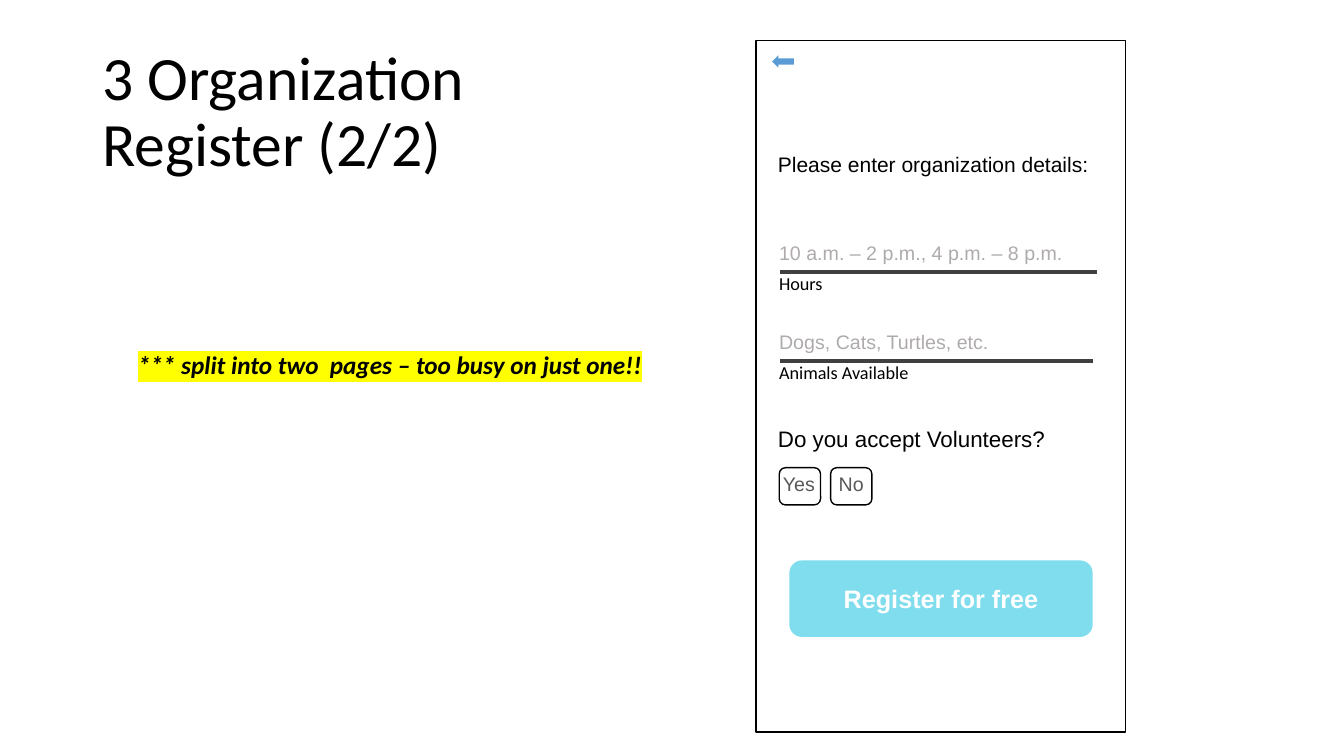
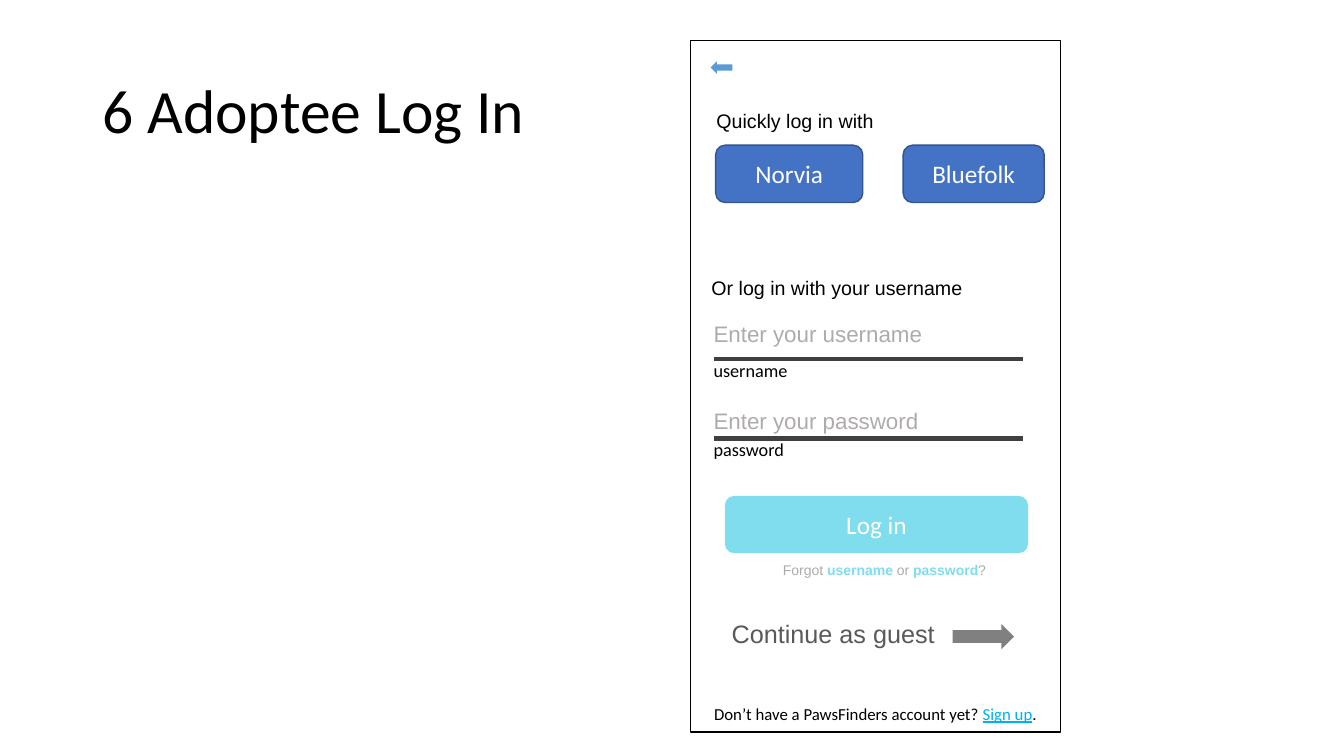
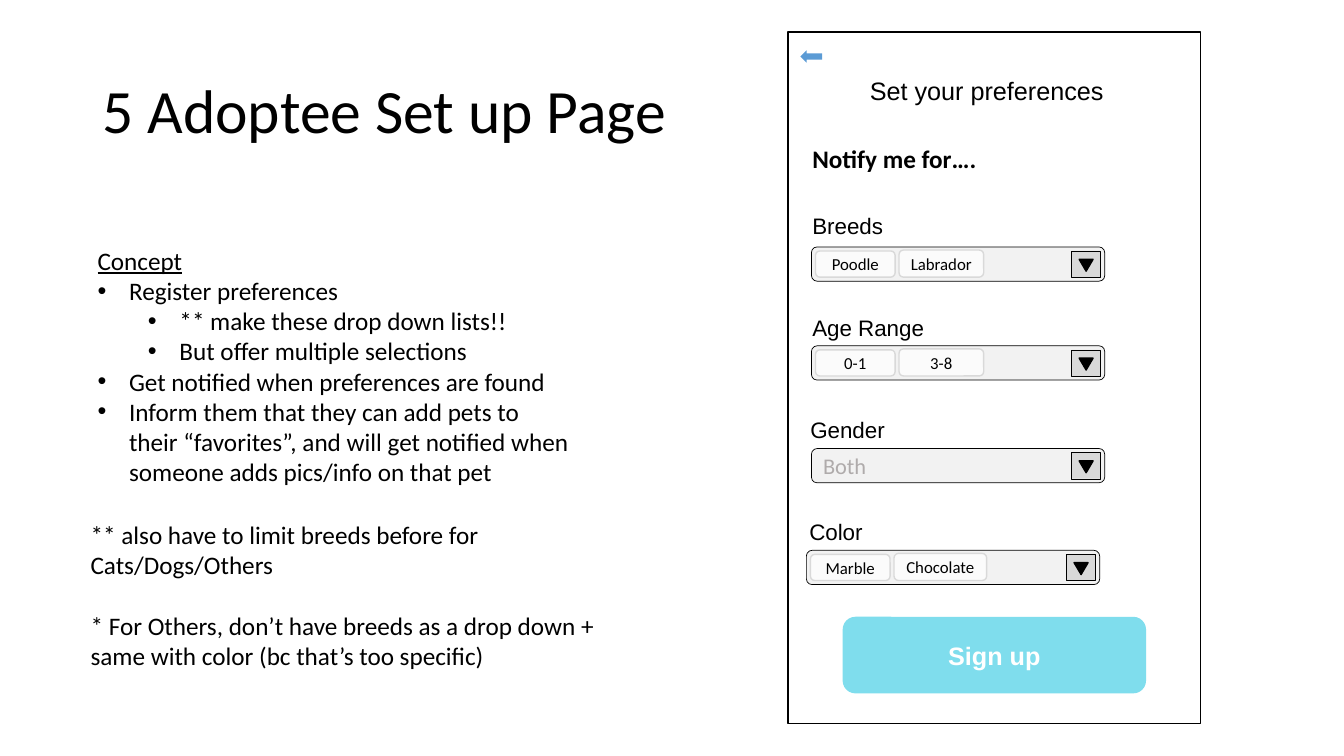
"""Build three wireframe slides for a pet adoption app."""
from lxml import etree
from pptx import Presentation
from pptx.dml.color import RGBColor
from pptx.enum import shapes, text
from pptx.oxml import ns
from pptx.util import Pt

BLACK = RGBColor(0x00, 0x00, 0x00)
WHITE = RGBColor(0xFF, 0xFF, 0xFF)
AQUA = RGBColor(0x7F, 0xDD, 0xED)
SKY = RGBColor(0x5B, 0x9B, 0xD5)
BLUE = RGBColor(0x44, 0x72, 0xC4)
NAVY = RGBColor(0x32, 0x54, 0x91)
CYAN = RGBColor(0x00, 0xB0, 0xF0)
CHARCOAL = RGBColor(0x40, 0x40, 0x40)
SLATE = RGBColor(0x59, 0x59, 0x59)
GRAY = RGBColor(0x80, 0x80, 0x80)
HINT = RGBColor(0xAF, 0xAB, 0xAB)
SILVER = RGBColor(0xD9, 0xD9, 0xD9)
PALE = RGBColor(0xF2, 0xF2, 0xF2)
MILK = RGBColor(0xFB, 0xFB, 0xFB)
YELLOW = RGBColor(0xFF, 0xFF, 0x00)
SANS, BODY = "Arial", "Calibri"
KIND = shapes.MSO_SHAPE
LEFT, CENTER = text.PP_ALIGN.LEFT, text.PP_ALIGN.CENTER
MIDDLE = text.MSO_ANCHOR.MIDDLE


class Deck:
    def __init__(self):
        self.show = Presentation()
        self.show.slide_width, self.show.slide_height = Pt(960), Pt(540)
        self.slide = None

    def page(self, title, wide):
        self.slide = self.show.slides.add_slide(self.show.slide_layouts[5])
        head = self.slide.shapes.title
        head.left, head.top, head.width, head.height = Pt(66), Pt(28.8), Pt(wide), Pt(104.4)
        frame = head.text_frame
        frame.text = title
        frame.auto_size = text.MSO_AUTO_SIZE.NONE
        frame.word_wrap = True
        frame.vertical_anchor = MIDDLE
        frame.paragraphs[0].line_spacing = 0.9
        self.style(frame, 44, BODY)

    def style(self, frame, size, font, color=BLACK, bold=False, align=LEFT):
        for part in frame.paragraphs:
            part.alignment = align
            for run in part.runs:
                face = run.font
                face.size, face.name, face.bold = Pt(size), font, bold
                face.color.rgb = color

    def label(self, words, x, y, wide, size=14, font=SANS, color=BLACK,
              bold=False, align=LEFT, wrap=False, tall=None):
        box = self.slide.shapes.add_textbox(
            Pt(x), Pt(y), Pt(wide), Pt(tall or size * 1.2 + 7.2))
        frame = box.text_frame
        frame.text = words
        frame.word_wrap = wrap
        frame.auto_size = text.MSO_AUTO_SIZE.SHAPE_TO_FIT_TEXT
        self.style(frame, size, font, color, bold, align)
        return frame

    def blend(self, parts, x, y, wide, size, font, **more):
        frame = self.label("", x, y, wide, size, font, **more)
        for words, color, bold, under in parts:
            run = frame.paragraphs[0].add_run()
            run.text = words
            face = run.font
            face.size, face.name, face.bold, face.underline = Pt(size), font, bold, under
            face.color.rgb = color

    def shape(self, kind, x, y, wide, tall, fill=None, line=None, weight=1):
        item = self.slide.shapes.add_shape(kind, Pt(x), Pt(y), Pt(wide), Pt(tall))
        item.shadow.inherit = False
        if fill is None:
            item.fill.background()
        else:
            item.fill.solid()
            item.fill.fore_color.rgb = fill
        if line is None:
            item.line.fill.background()
        else:
            item.line.color.rgb = line
            item.line.width = Pt(weight)
        return item

    def button(self, words, x, y, wide, tall, size=18, font=BODY, color=WHITE,
               fill=AQUA, line=None, weight=1, bold=False, align=CENTER):
        item = self.shape(KIND.ROUNDED_RECTANGLE, x, y, wide, tall, fill, line, weight)
        frame = item.text_frame
        frame.text = words
        frame.word_wrap = align == LEFT
        frame.vertical_anchor = MIDDLE
        self.style(frame, size, font, color, bold, align)

    def phone(self, x, y, wide, back):
        self.shape(KIND.RECTANGLE, x, y, wide, 494, line=BLACK)
        self.shape(KIND.LEFT_ARROW, *back, 15.5, 8.8, SKY)

    def rule(self, x, y, wide):
        line = self.slide.shapes.add_connector(
            shapes.MSO_CONNECTOR.STRAIGHT, Pt(x), Pt(y), Pt(x + wide), Pt(y))
        line.line.color.rgb = CHARCOAL
        line.line.width = Pt(3)
        etree.SubElement(line._element.spPr, ns.qn("a:effectLst"))

    def entry(self, x, y, wide, hint, name, size=14, gap=26):
        self.rule(x + 7.5, y, wide)
        self.label(name[0], x, y - 3.4, name[1], 13, BODY)
        self.label(hint[0], x, y - gap, hint[1], size, color=HINT)

    def picker(self, x, y, tags, hint=""):
        self.button(hint, x, y, 209.5, 24.5, 16, color=HINT, fill=PALE,
                    line=BLACK, weight=0.5, align=LEFT)
        spots = ((2.9, 2.9, 18.7), (62.6, 2.2, 19.4))
        for (words, wide), (dx, dy, tall) in zip(tags, spots):
            self.button(words, x + dx, y + dy, wide, tall, 12, color=BLACK,
                        fill=MILK, line=SILVER)
        self.shape(KIND.RECTANGLE, x + 185.8, y + 2.9, 20.2, 18.7, SILVER, BLACK, 0.25)
        mark = self.shape(KIND.ISOSCELES_TRIANGLE, x + 191.2, y + 8.8, 10, 8.5, BLACK, BLACK)
        mark.rotation = 180

    def mark(self, frame, color):
        for run in frame.paragraphs[0].runs:
            fill = run._r.get_or_add_rPr().find(ns.qn("a:solidFill"))
            tint = etree.Element(ns.qn("a:highlight"))
            etree.SubElement(tint, ns.qn("a:srgbClr"), val=str(color))
            fill.addnext(tint)

    def bullet(self, part, level):
        part.level = level
        props = part._p.get_or_add_pPr()
        props.set("marL", str(Pt(22.5 + 36 * level)))
        props.set("indent", str(-Pt(22.5)))
        etree.SubElement(props, ns.qn("a:buFont"), typeface=SANS)
        etree.SubElement(props, ns.qn("a:buChar"), char="•")


deck = Deck()

deck.page("3 Organization Register (2/2)", 421)
deck.phone(540, 28.8, 264.2, (551.5, 39.6))
deck.label("Please enter organization details:", 548.6, 104.4, 239, 15)
deck.entry(549.4, 194.4, 226.8, ("10 a.m. – 2 p.m., 4 p.m. – 8 p.m.", 218.2), ("Hours", 46))
deck.entry(549.4, 257.8, 223.9, ("Dogs, Cats, Turtles, etc.", 164.9),
           ("Animals Available", 108.7))
deck.label("Do you accept Volunteers?", 548.6, 300.2, 207.4, 16)
for words, x, left, wide in (("Yes", 556.6, 550.8, 39.6), ("No", 593.3, 591.8, 32.4)):
    deck.shape(KIND.ROUNDED_RECTANGLE, x, 334.1, 29.5, 26.6, WHITE, BLACK)
    deck.label(words, left, 333.4, wide, color=SLATE, align=CENTER, wrap=words == "Yes")
deck.button("Register for free", 563.8, 400.3, 216.7, 54.7, font=SANS, bold=True)
note = deck.label("*** split into two  pages – too busy on just one!!",
                  91.4, 246.2, 379.4, 18, BODY, bold=True)
note.paragraphs[0].runs[0].font.italic = True
deck.mark(note, YELLOW)

deck.page("6 Adoptee Log In", 373.7)
deck.phone(493.2, 28.8, 264.2, (507.6, 43.9))
deck.label("Quickly log in with ", 504.7, 74.2, 131.8)
for words, x, wide in (("Norvia", 511.2, 105.1), ("Bluefolk", 645.1, 100.8)):
    deck.button(words, x, 103.7, wide, 41, fill=BLUE, line=NAVY)
deck.label("Or log in with your username", 501.1, 193.7, 194.4)
deck.entry(502.6, 256.3, 220.3, ("Enter your username", 165.6), ("username", 68.4), 16, 31)
deck.entry(502.6, 313.2, 220.3, ("Enter your password", 162.7), ("password", 65.5), 16)
deck.button("Log in", 517.7, 354.2, 216.7, 41)
deck.blend((("Forgot ", HINT, False, False), ("username", AQUA, True, False),
            (" or ", HINT, False, False), ("password", AQUA, True, False),
            ("?", HINT, False, False)), 552.2, 397.4, 160.6, 10, SANS)
deck.label("Continue as guest ", 515.5, 437.8, 166.3, 18, color=SLATE)
deck.shape(KIND.RIGHT_ARROW, 680.4, 445.7, 43.9, 18, GRAY)
deck.blend((("Don’t have a PawsFinders account yet? ", BLACK, False, False),
            ("Sign up", CYAN, False, True), (".", BLACK, False, False)),
           493.2, 499, 264.2, 12, BODY, align=CENTER, wrap=True)

deck.page("5 Adoptee Set up Page", 457.2)
deck.phone(563, 23, 294.5, (571.7, 36))
ideas = (("Concept", None), ("Register preferences", 0),
         ("** make these drop down lists!!", 1), ("But offer multiple selections", 1),
         ("Get notified when preferences are found", 0),
         ("Inform them that they can add pets to their “favorites”, and will get "
          "notified when someone adds pics/info on that pet", 0))
list_box = deck.label("\n".join(words for words, level in ideas), 62.6, 171.4, 351.4,
                      18, BODY, wrap=True, tall=181.4)
list_box.paragraphs[0].runs[0].font.underline = True
for part, (words, level) in zip(list_box.paragraphs, ideas):
    if level is not None:
        deck.bullet(part, level)
notes = deck.label("** also have to limit breeds before for Cats/Dogs/Others\n"
                   "* For Others, don’t have breeds as a drop down + same with color "
                   "(bc that’s too specific)", 57.6, 367.2, 383, 18, BODY,
                   wrap=True, tall=116.6)
notes.paragraphs[1].space_before = Pt(22)
deck.label("Set your preferences", 614.2, 50.4, 182.9, 18)
deck.label("Notify me for….", 573.1, 98.6, 133.2, 18, BODY, bold=True)
fields = (
    ("Breeds", 573.1, 65.5, 579.6, 176.4, (("Poodle", 56.9), ("Labrador", 60.5)), ""),
    ("Age Range", 573.1, 95, 579.6, 247, (("0-1", 56.9), ("3-8", 60.5)), ""),
    ("Gender", 571.7, 68.4, 579.6, 320.4, (), "Both"),
    ("Color", 571, 53.3, 576, 393.1, (("Marble", 56.9), ("Chocolate", 66.2)), ""))
for row, (name, left, wide, x, y, tags, hint) in enumerate(fields):
    deck.label(name, left, 148.3 + 72.7 * row, wide, 16)
    deck.picker(x, y, tags, hint)
deck.button("Sign up", 601.9, 440.6, 216.7, 54.7, font=SANS, bold=True)

deck.show.save("out.pptx")
